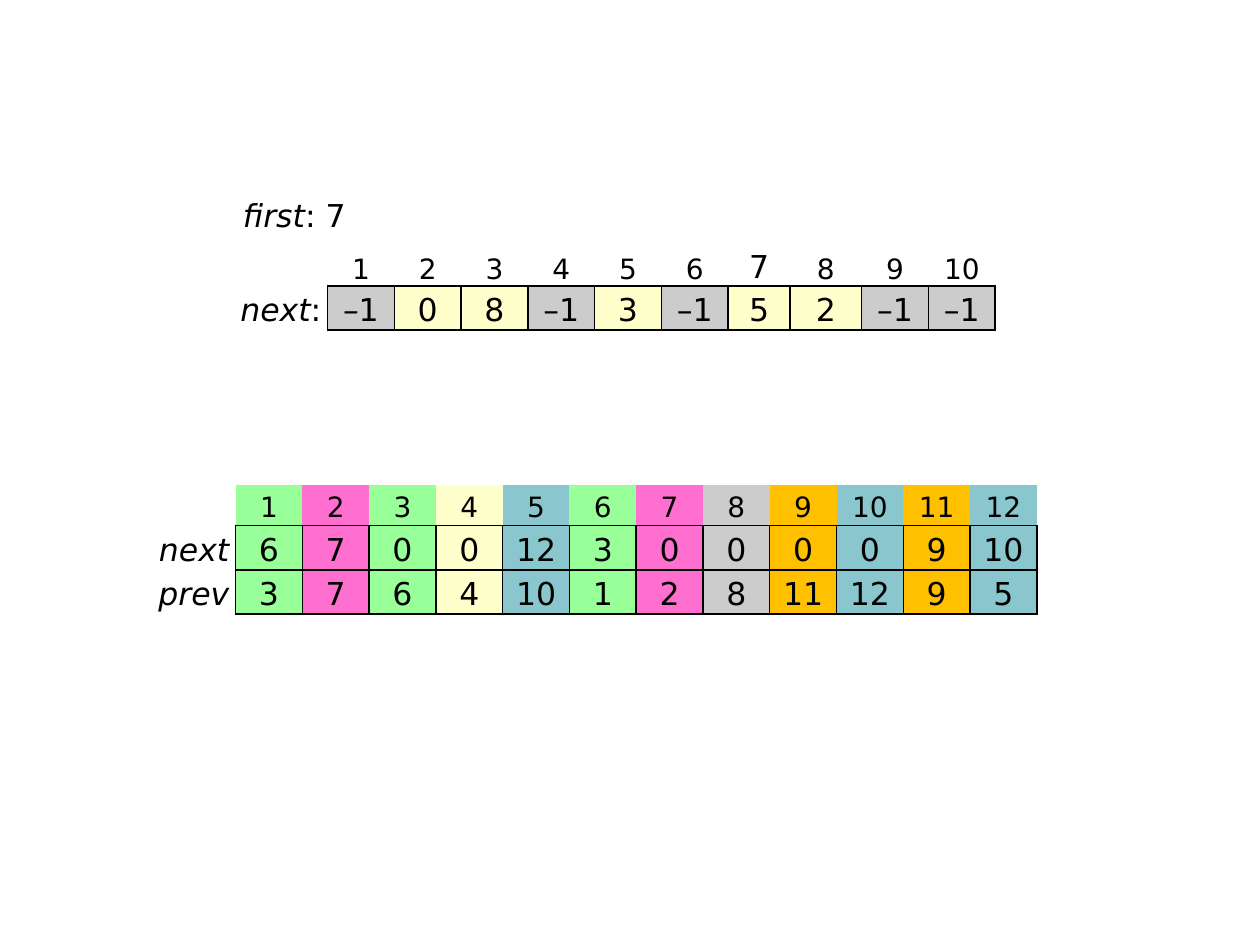
from dataclasses import dataclass

from lxml.etree import SubElement
from pptx import Presentation
from pptx.dml.color import RGBColor
from pptx.enum.text import MSO_ANCHOR, PP_ALIGN
from pptx.oxml import parse_xml
from pptx.oxml.ns import nsdecls, qn
from pptx.util import Pt

PX = 9144  # EMU per px, 100 px to the inch
FONT = "DejaVu Sans"
BLACK, WHITE = "000000", "FFFFFF"
GRAY, CREAM = "CCCCCC", "FFFFCC"
GREEN, PINK, TEAL, ORANGE = "99FF99", "FF6FCF", "8AC6CD", "FFC000"
LABEL_WIDTH, CELL_WIDTH, ROW_HEIGHT = 77, 53, 35
INDEX_SIZE, VALUE_SIZE = 16, 18


@dataclass
class Span:
    text: str
    italic: bool = False
    size: int = VALUE_SIZE


@dataclass
class Cell:
    spans: list[Span]
    fill: str | None = None
    borders: str = ""
    align: PP_ALIGN = PP_ALIGN.CENTER
    anchor: MSO_ANCHOR = MSO_ANCHOR.TOP


@dataclass
class Grid:
    left: int
    top: int
    widths: list[int]
    heights: list[int]
    rows: list[list[Cell]]


def rgb(color: str) -> RGBColor:
    return RGBColor.from_string(color)


def write_spans(para, spans: list[Span]) -> None:
    for span in spans:
        run = para.add_run()
        run.text = span.text
        run.font.name = FONT
        run.font.size = Pt(span.size)
        run.font.italic = span.italic
        run.font.color.rgb = rgb(BLACK)


def draw_borders(table_cell, sides: str) -> None:
    properties = table_cell._tc.get_or_add_tcPr()
    for side in "LRTB":
        paint = (f'<a:solidFill><a:srgbClr val="{BLACK}"/></a:solidFill>'
                 if side in sides else "<a:noFill/>")
        properties.append(parse_xml(
            f'<a:ln{side} {nsdecls("a")} w="12700">{paint}</a:ln{side}>'))


def draw_cell(table_cell, cell: Cell) -> None:
    table_cell.margin_left = table_cell.margin_right = table_cell.margin_top = 5 * PX
    table_cell.margin_bottom = 0
    table_cell.vertical_anchor = cell.anchor
    draw_borders(table_cell, cell.borders)
    if cell.fill:
        table_cell.fill.solid()
        table_cell.fill.fore_color.rgb = rgb(cell.fill)
    else:
        table_cell.fill.background()
    para = table_cell.text_frame.paragraphs[0]
    para.alignment = cell.align
    write_spans(para, cell.spans)
    if not cell.spans:  # keep the empty corner from stretching its row
        SubElement(para._p, qn("a:endParaRPr"), sz=str(INDEX_SIZE * 100))


def draw_grid(page, grid: Grid) -> None:
    table = page.shapes.add_table(
        len(grid.heights), len(grid.widths), grid.left * PX, grid.top * PX,
        sum(grid.widths) * PX, sum(grid.heights) * PX).table
    table.first_row = table.horz_banding = False
    for column, width in zip(table.columns, grid.widths):
        column.width = width * PX
    for row, height, cells in zip(table.rows, grid.heights, grid.rows):
        row.height = height * PX
        for table_cell, cell in zip(row.cells, cells):
            draw_cell(table_cell, cell)


def index_row(fills: list[str], anchor: MSO_ANCHOR, large: int = 0) -> list[Cell]:
    """Empty corner, then the indices; `large` is set in the value size."""
    cells = [Cell([])]
    for index, fill in enumerate(fills, start=1):
        size = VALUE_SIZE if index == large else INDEX_SIZE
        cells.append(Cell([Span(str(index), size=size)], fill, "B", anchor=anchor))
    return cells


def value_row(label: list[Span], values: list[str], fills: list[str]) -> list[Cell]:
    return [Cell(label, borders="R", align=PP_ALIGN.RIGHT)] + [
        Cell([Span(value)], fill, "LRTB") for value, fill in zip(values, fills)]


def list_grid() -> Grid:
    values = "–1 0 8 –1 3 –1 5 2 –1 –1".split()
    fills = [GRAY if value == "–1" else CREAM for value in values]
    widths = [LABEL_WIDTH] + [CELL_WIDTH] * len(values)
    widths[7:9] = [49, 57]
    return Grid(183, 192, widths, [ROW_HEIGHT] * 2, [
        index_row([WHITE] * len(values), MSO_ANCHOR.BOTTOM, large=7),
        value_row([Span("next", italic=True), Span(":")], values, fills),
    ])


def cycle_grid() -> Grid:
    # One colour for each linked group
    fills = [GREEN, PINK, GREEN, CREAM, TEAL, GREEN,
             PINK, GRAY, ORANGE, TEAL, ORANGE, TEAL]
    links = {"next": "6 7 0 0 12 3 0 0 0 0 9 10",
             "prev": "3 7 6 4 10 1 2 8 11 12 9 5"}
    rows = [index_row(fills, MSO_ANCHOR.TOP)]
    for name, values in links.items():
        rows.append(value_row([Span(name, italic=True)], values.split(), fills))
    return Grid(110, 385, [LABEL_WIDTH] + [CELL_WIDTH] * len(fills),
                [32, ROW_HEIGHT, ROW_HEIGHT], rows)


def main() -> None:
    deck = Presentation()
    deck.slide_width, deck.slide_height = 1000 * PX, 750 * PX
    page = deck.slides.add_slide(deck.slide_layouts[6])

    # Tables
    draw_grid(page, list_grid())
    draw_grid(page, cycle_grid())

    # Head of the list
    box = page.shapes.add_textbox(183 * PX, 151 * PX, 119 * PX, 41 * PX)
    box.text_frame.word_wrap = True
    write_spans(box.text_frame.paragraphs[0],
                [Span("first", italic=True), Span(": 7")])

    deck.save("out.pptx")


if __name__ == "__main__":
    main()
